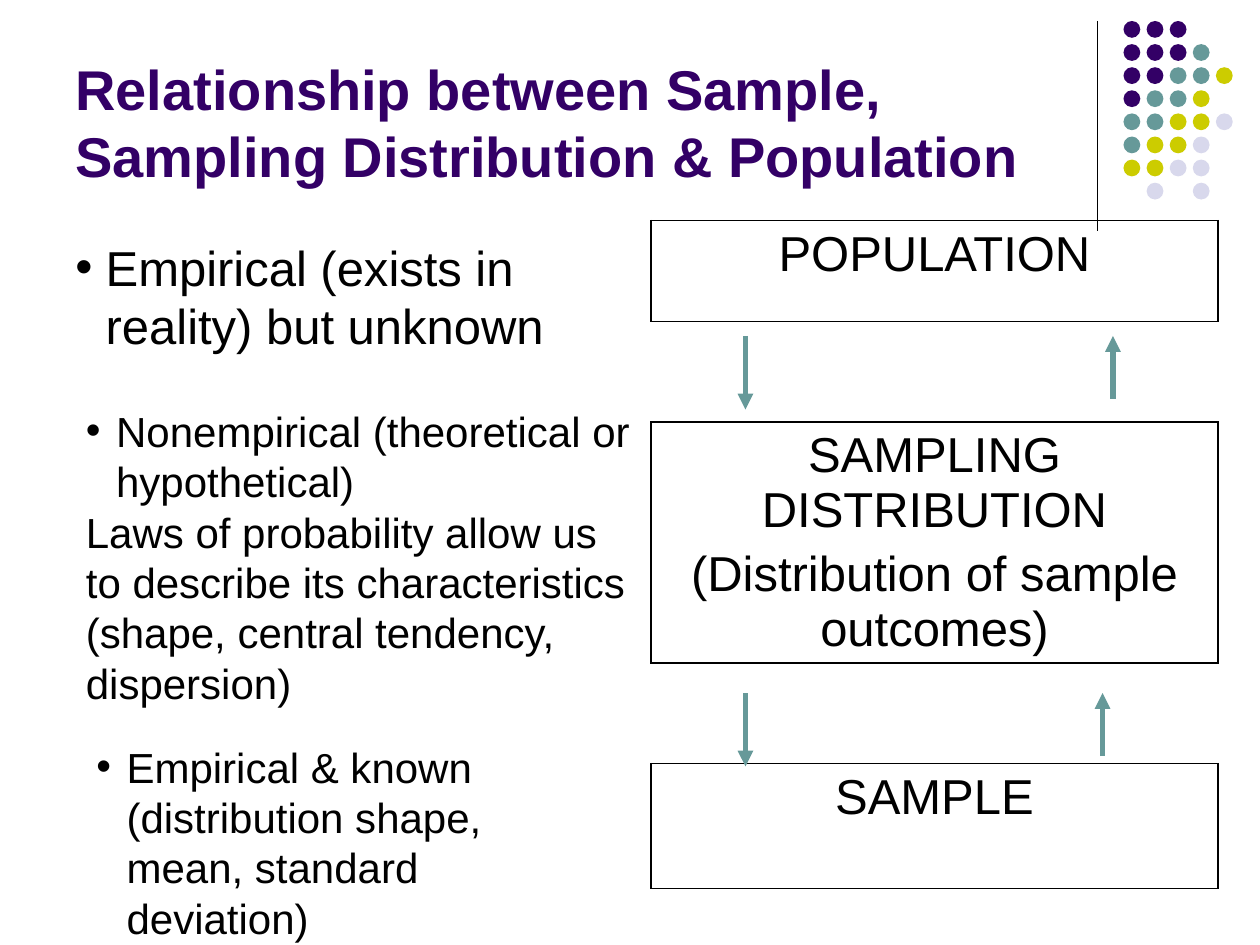
from lxml import etree
from pptx import Presentation
from pptx.dml.color import RGBColor
from pptx.enum.shapes import MSO_CONNECTOR, MSO_SHAPE
from pptx.enum.text import MSO_ANCHOR, MSO_AUTO_SIZE, PP_ALIGN
from pptx.oxml import parse_xml
from pptx.oxml.ns import nsdecls, qn
from pptx.util import Inches, Pt

BLACK = RGBColor(0x00, 0x00, 0x00)
PURPLE = RGBColor(0x33, 0x00, 0x66)
TEAL = RGBColor(0x66, 0x99, 0x99)
LIME = RGBColor(0xCC, 0xCC, 0x00)
LAVENDER = RGBColor(0xD8, 0xD8, 0xEC)
DOT_COLORS = {"P": PURPLE, "T": TEAL, "L": LIME, "V": LAVENDER}
DOT_ROWS = ["PPP", "PPPT", "PPTTL", "PTTL", "TTLLV", "TLLV", "LLVV", " V V"]


def grid(units):
    """Turn grid units, twelve to the inch, into a length."""
    return Inches(units / 12)


def write(paragraph, text, size=24, color=BLACK, bold=False, font="Arial",
          align=PP_ALIGN.LEFT, bullet=False, before=0, leading=None):
    """Fill a paragraph with one formatted run."""
    run = paragraph.add_run()
    run.text = text
    run.font.name = font
    run.font.size = Pt(size)
    run.font.bold = bold
    run.font.color.rgb = color
    paragraph.alignment = align
    paragraph.space_before = Pt(before)
    if leading:
        paragraph.line_spacing = Pt(size * leading)
    if bullet:
        properties = paragraph._p.get_or_add_pPr()
        properties.set("marL", str(Inches(0.24)))
        properties.set("indent", str(-Inches(0.24)))
        etree.SubElement(properties, qn("a:buFont"), typeface="Arial")
        etree.SubElement(properties, qn("a:buChar"), char="•")


def write_lines(frame, lines, **style):
    """Write each line as a paragraph; a leading bullet mark makes a bullet."""
    for index, line in enumerate(lines):
        paragraph = frame.paragraphs[0] if index == 0 else frame.add_paragraph()
        write(paragraph, line.removeprefix("• "), bullet=line.startswith("• "), **style)


class SlideBuilder:
    """Holds the slide and draws its elements on a 120 by 90 grid."""

    def __init__(self, slide):
        """Keep the slide to draw on."""
        self.shapes = slide.shapes

    def text(self, left, top, width, height, lines, anchor=MSO_ANCHOR.TOP,
             fit=MSO_AUTO_SIZE.SHAPE_TO_FIT_TEXT, **style):
        """Add a wrapped text box."""
        box = self.shapes.add_textbox(*map(grid, (left, top, width, height)))
        frame = box.text_frame
        frame.word_wrap = True
        frame.auto_size = fit
        frame.vertical_anchor = anchor
        write_lines(frame, lines, leading=1.2, **style)

    def line(self, column, start, end, color=BLACK, width=0.75, arrow=False):
        """Add a vertical line, with an arrowhead at its end if asked."""
        connector = self.shapes.add_connector(
            MSO_CONNECTOR.STRAIGHT, *map(grid, (column, start, column, end)))
        connector.line.color.rgb = color
        connector.line.width = Pt(width)
        if arrow:
            etree.SubElement(connector.line._get_or_add_ln(), qn("a:tailEnd"), type="triangle")
        etree.SubElement(connector._element.spPr, qn("a:effectLst"))

    def dots(self, left, top, pitch, diameter, rows):
        """Add a group of coloured dots, one letter of a row for each dot."""
        group = self.shapes.add_group_shape()
        for row, letters in enumerate(rows):
            for column, letter in enumerate(letters):
                if letter not in DOT_COLORS:
                    continue
                dot = group.shapes.add_shape(
                    MSO_SHAPE.OVAL, grid(left + column * pitch), grid(top + row * pitch),
                    grid(diameter), grid(diameter))
                dot.shadow.inherit = False
                dot.fill.solid()
                dot.fill.fore_color.rgb = DOT_COLORS[letter]
                dot.line.fill.background()

    def boxes(self, left, top, width, rows, **style):
        """Add a one-column table whose empty rows have open sides."""
        frame = self.shapes.add_table(
            len(rows), 1, grid(left), grid(top), grid(width),
            grid(sum(height for height, _ in rows)))
        table = frame.table
        table.first_row = table.horz_banding = False
        for index, (height, lines) in enumerate(rows):
            table.rows[index].height = grid(height)
            cell = table.cell(index, 0)
            cell.fill.background()
            write_lines(cell.text_frame, lines, **style)
            self.borders(cell, "LRTB" if lines else "TB")

    def borders(self, cell, visible):
        """Draw the visible sides of a cell and hide the others."""
        properties = cell._tc.get_or_add_tcPr()
        for index, side in enumerate("LRTB"):
            paint = (f'<a:solidFill><a:srgbClr val="{BLACK}"/></a:solidFill>'
                     if side in visible else "<a:noFill/>")
            properties.insert(index, parse_xml(
                f'<a:ln{side} {nsdecls("a")} w="{Pt(1)}">{paint}</a:ln{side}>'))


def main():
    """Build and save the slide."""
    presentation = Presentation()
    presentation.slide_width, presentation.slide_height = grid(120), grid(90)
    builder = SlideBuilder(presentation.slides.add_slide(presentation.slide_layouts[6]))

    builder.line(104.5, 2, 22)
    builder.dots(107, 2, 2.2, 1.6, DOT_ROWS)
    builder.text(6, 3.6, 98, 15,
                 ["Relationship between Sample, Sampling Distribution & Population"],
                 anchor=MSO_ANCHOR.BOTTOM, fit=MSO_AUTO_SIZE.NONE,
                 size=32, color=PURPLE, bold=True)
    builder.boxes(62, 21, 54, [
        (9.6, ["POPULATION"]),
        (9.6, []),
        (11.9, ["SAMPLING DISTRIBUTION", "(Distribution of sample outcomes)"]),
        (9.6, []),
        (11.9, ["SAMPLE"]),
    ], size=28, align=PP_ALIGN.CENTER, before=5.6)
    builder.text(6, 22, 54.1, 12.5, ["• Empirical (exists in reality) but unknown"], size=28)
    builder.text(7, 38, 55.9, 34, [
        "• Nonempirical (theoretical or hypothetical)",
        "Laws of probability allow us",
        "to describe its characteristics",
        "(shape, central tendency,",
        "dispersion)",
    ])
    builder.text(8, 70, 49, 19.4, [
        "• Empirical & known (distribution shape, mean, standard deviation)"])
    for column, start, end in [(71, 32, 39), (106, 38, 32), (71, 66, 73), (105, 72, 66)]:
        builder.line(column, start, end, color=TEAL, width=3, arrow=True)

    presentation.save("out.pptx")


main()
